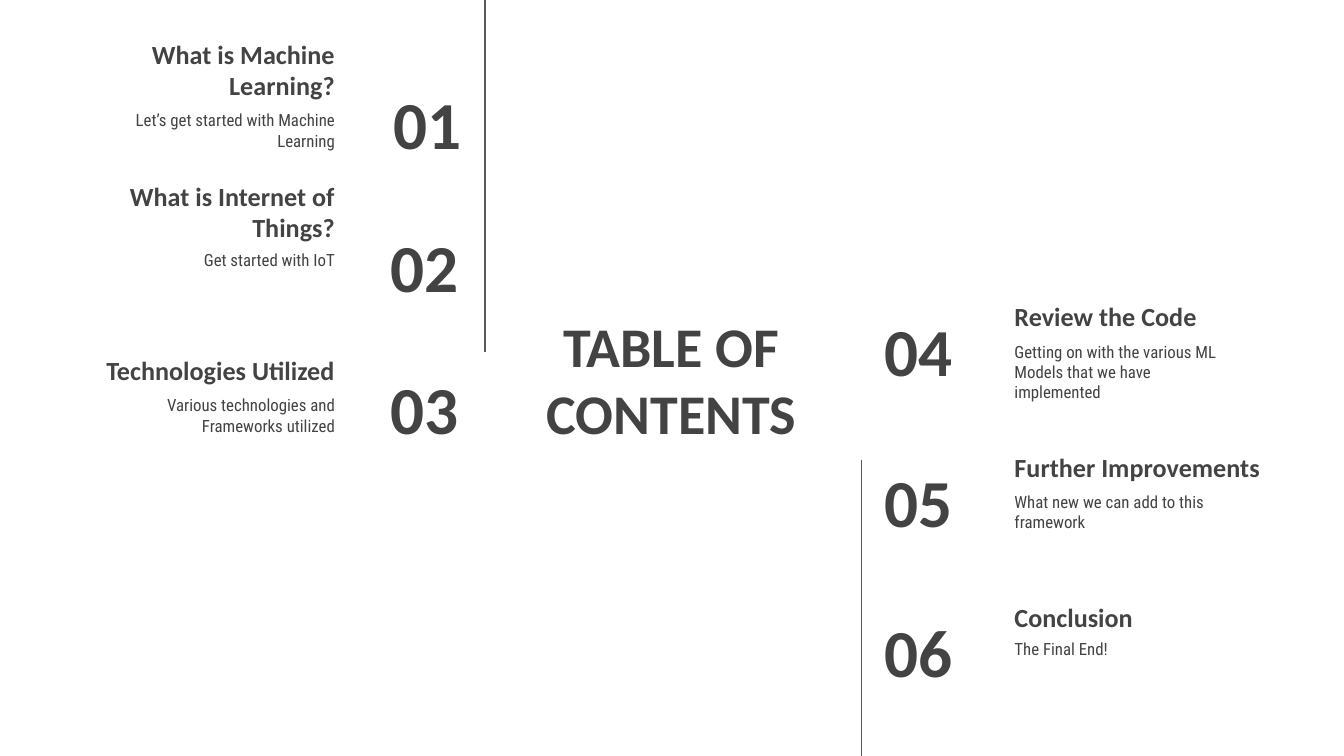
from lxml import etree
from pptx import Presentation
from pptx import util as u
from pptx.dml.color import RGBColor
from pptx.enum import shapes, text
from pptx.oxml.ns import qn


def color(hex_code):
    return RGBColor.from_string(hex_code)


class ContentsSlide:
    INK = "434343"
    RULE = "595959"
    HEADING_FONT = "Calibri"
    BODY_FONT = "Roboto Condensed"
    ROW_HEIGHT = 0.63

    def __init__(self, slide):
        self.slide = slide

    def label(self, words, left, top, width, height, size, align, anchor, font=HEADING_FONT, bold=True):
        box = self.slide.shapes.add_textbox(*map(u.Inches, (left, top, width, height)))
        frame = box.text_frame
        frame.margin_left = frame.margin_right = u.Inches(0.1)
        frame.margin_top = frame.margin_bottom = u.Inches(0.1)
        frame.word_wrap = True
        frame.vertical_anchor = anchor
        frame.text = words
        paragraph = frame.paragraphs[0]
        paragraph.alignment = align
        style = paragraph.runs[0].font
        style.name = font
        style.size = u.Pt(size)
        style.bold = bold
        style.color.rgb = color(self.INK)

    def title(self, words, left, top, width, height):
        self.label(words, left, top, width, height, 30, text.PP_ALIGN.CENTER, text.MSO_ANCHOR.MIDDLE)

    def entry(self, heading, summary, heading_left, summary_left, top, align):
        self.label(heading, heading_left, top, 2.16, self.ROW_HEIGHT, 14, align, text.MSO_ANCHOR.BOTTOM)
        self.label(summary, summary_left, top + 0.5, 1.83, self.ROW_HEIGHT, 9, align,
                   text.MSO_ANCHOR.TOP, self.BODY_FONT, False)

    def number(self, value, left, top, width, align):
        self.label(f"{value:02d}", left, top, width, self.ROW_HEIGHT, 36, align, text.MSO_ANCHOR.MIDDLE)

    def rule(self, x, top, bottom):
        line = self.slide.shapes.add_connector(
            shapes.MSO_CONNECTOR.STRAIGHT, *map(u.Inches, (x, top, x, bottom)))
        line.line.color.rgb = color(self.RULE)
        line.line.width = u.Pt(0.75)
        etree.SubElement(line._element.spPr, qn("a:effectLst"))


LEFT_ENTRIES = [
    ("What is Machine Learning?", "Let’s get started with Machine Learning", 2.32),
    ("What is Internet of Things?", "Get started with IoT", 2.3),
    ("Technologies Utilized", "Various technologies and Frameworks utilized", 2.3),
]
RIGHT_ENTRIES = [
    ("Review the Code", "Getting on with the various ML Models that we have implemented"),
    ("Further Improvements", "What new we can add to this framework"),
    ("Conclusion", "The Final End!"),
]


def main():
    deck = Presentation()
    deck.slide_width = u.Inches(10)
    deck.slide_height = deck.slide_width * 9 // 16
    contents = ContentsSlide(deck.slides.add_slide(deck.slide_layouts[6]))

    contents.title("TABLE OF CONTENTS", 3.7, 2.3, 2.59, 1.03)
    contents.rule(3.61, 0, 2.62)
    contents.rule(6.41, 3.42, 5.64)

    for row, (heading, summary, number_left) in enumerate(LEFT_ENTRIES):
        top = 0.22 + 1.06 * row
        contents.entry(heading, summary, 0.43, 0.76, top, text.PP_ALIGN.RIGHT)
        contents.number(row + 1, number_left, top + 0.38, 1.21, text.PP_ALIGN.RIGHT)

    for row, (heading, summary) in enumerate(RIGHT_ENTRIES):
        top = 1.94 + 1.12 * row
        contents.entry(heading, summary, 7.45, 7.45, top, text.PP_ALIGN.LEFT)
        contents.number(row + 4, 6.48, top + 0.35, 1.17, text.PP_ALIGN.LEFT)

    deck.save("out.pptx")


if __name__ == "__main__":
    main()
